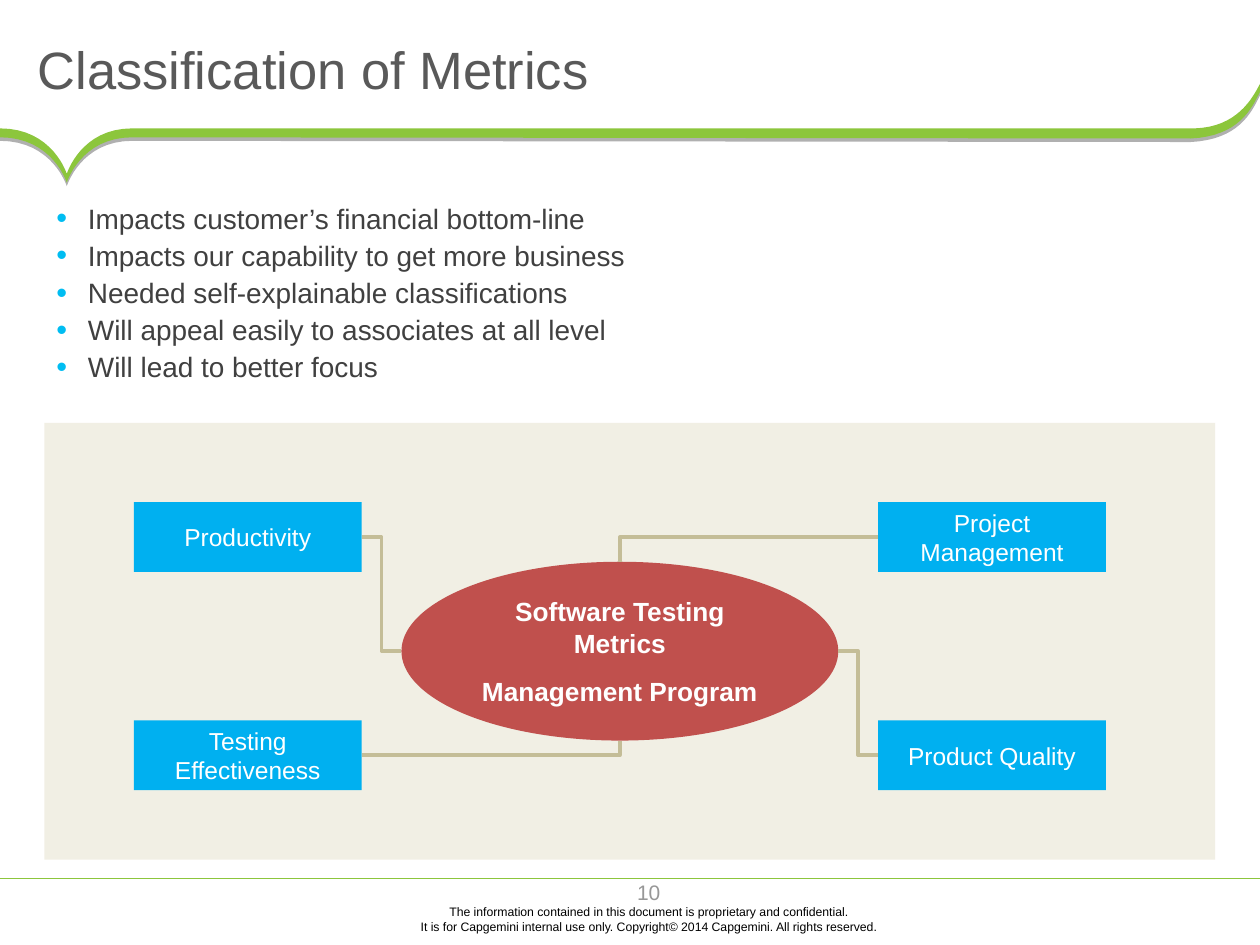
from lxml.etree import SubElement
from pptx import Presentation
from pptx.dml.color import RGBColor
from pptx.enum.shapes import MSO_CONNECTOR as Connector, MSO_SHAPE as Shape
from pptx.enum.text import MSO_ANCHOR as Anchor, PP_ALIGN as Align
from pptx.oxml.ns import qn
from pptx.util import Pt

GREEN = RGBColor(0x8C, 0xC6, 0x3C)
SAND = RGBColor(0xDE, 0xD7, 0xBC)
TAN = RGBColor(0xC4, 0xBD, 0x97)
BLUE = RGBColor(0x00, 0xB0, 0xF0)
RED = RGBColor(0xC0, 0x50, 0x4D)
WHITE = RGBColor(0xFF, 0xFF, 0xFF)
BLACK = RGBColor(0, 0, 0)
TITLE_GREY = RGBColor(0x59, 0x59, 0x59)
BODY_GREY = RGBColor(0x40, 0x40, 0x40)
NUMBER_GREY = RGBColor(0x97, 0x97, 0x97)
BULLET_COLOR = "00BDF2"

# Content
TITLE = "Classification of Metrics"
BULLETS = [
    "Impacts customer’s financial bottom-line",
    "Impacts our capability to get more business",
    "Needed self-explainable classifications",
    "Will appeal easily to associates at all level",
    "Will lead to better focus",
]
PROGRAM = ["Software Testing Metrics", "Management Program"]
# label, column, row, side of the box, side of the ellipse, connector form
CATEGORIES = [
    ("Productivity", 0, 0, "right", "left", "bentConnector3"),
    ("Project Management", 1, 0, "left", "top", "bentConnector2"),
    ("Testing Effectiveness", 0, 1, "right", "bottom", "bentConnector2"),
    ("Product Quality", 1, 1, "left", "right", "bentConnector3"),
]
FOOTER = ("The information contained in this document is proprietary and confidential.\v"
          "It is for Capgemini internal use only. Copyright© 2014 Capgemini. All rights reserved.")
PAGE_NUMBER = "10"

# Layout
WIDTH, HEIGHT = 720, 540
COLUMNS, ROWS = (76.5, 501.8), (287, 411.7)
BOX_WIDTH, BOX_HEIGHT = 130.2, 39.8
ELLIPSE = (229.4, 321, 249.6, 102.2)
BOX_SITES = {"left": 1, "right": 3}
# Two numbers are a line to a point, six are a Bézier curve
SWOOSH_START = (682.6, 73.4)
SWOOSH = [
    (75.6, 73.4),
    (46.1, 73.4, 38.2, 99.4, 38.2, 99.4),
    (38.2, 99.4, 30.2, 73.4, 0, 73.4),
    (0, 78.5),
    (30.2, 78.5, 38.2, 104.4, 38.2, 104.4),
    (38.2, 104.4, 46.1, 78.5, 75.6, 78.5),
    (680.4, 79.2),
    (707.8, 77.8, 715, 62.6, 720, 52.6),
    (720, 48),
    (715.7, 56.2, 707, 72.7, 682.6, 73.4),
]
CURVE_STEPS = 16


def add(parent, tag, **attributes):
    return SubElement(parent, qn(tag), attributes)


def outline(start, segments):
    points = [start]
    for segment in segments:
        if len(segment) == 2:
            points.append(segment)
            continue
        corners = [points[-1], segment[:2], segment[2:4], segment[4:]]
        for step in range(1, CURVE_STEPS + 1):
            t = step / CURVE_STEPS
            weights = ((1 - t) ** 3, 3 * t * (1 - t) ** 2, 3 * t * t * (1 - t), t ** 3)
            points.append(tuple(sum(w * c[axis] for w, c in zip(weights, corners))
                                for axis in (0, 1)))
    return [(Pt(x), Pt(y)) for x, y in points]


def write(shape, lines, size, color, align=Align.LEFT, anchor=Anchor.MIDDLE,
          bold=False, inset=True):
    frame = shape.text_frame
    frame.text = "\n".join(lines)
    frame.word_wrap = True
    frame.vertical_anchor = anchor
    if not inset:
        frame.margin_left = frame.margin_right = frame.margin_top = frame.margin_bottom = 0
    for paragraph in frame.paragraphs:
        paragraph.alignment = align
        for run in paragraph.runs:
            font = run.font
            font.name, font.size, font.bold = "Arial", Pt(size), bold
            font.color.rgb = color
    return frame


def add_text(slide, box, *args, **options):
    shape = slide.shapes.add_textbox(*map(Pt, box))
    write(shape, *args, **options)
    return shape


def add_filled(slide, kind, box, color):
    shape = slide.shapes.add_shape(kind, *map(Pt, box))
    shape.shadow.inherit = False
    shape.fill.solid()
    shape.fill.fore_color.rgb = color
    shape.line.fill.background()
    return shape


def add_line(slide, kind, start, end, color, width):
    line = slide.shapes.add_connector(kind, *map(Pt, start + end))
    line.line.color.rgb = color
    line.line.width = Pt(width)
    add(line._element.spPr, "a:effectLst")
    return line


def sides(box):
    left, top, width, height = box
    return {
        "top": (left + width / 2, top),
        "left": (left, top + height / 2),
        "bottom": (left + width / 2, top + height),
        "right": (left + width, top + height / 2),
    }


def add_swoosh(slide):
    points = outline(SWOOSH_START, SWOOSH)
    builder = slide.shapes.build_freeform(*points[0], scale=1.0)
    builder.add_line_segments(points[1:], close=True)
    shape = builder.convert_to_shape()
    shape.fill.solid()
    shape.fill.fore_color.rgb = GREEN
    shape.line.fill.background()
    effects = add(shape._element.spPr, "a:effectLst")
    shadow = add(effects, "a:outerShdw", blurRad="0", dist=str(Pt(2)),
                 dir="5400000", algn="t", rotWithShape="0")
    add(add(shadow, "a:srgbClr", val="000000"), "a:alpha", val="31000")


def add_bullets(slide):
    shape = add_text(slide, (25.2, 111.6, 360, 118.8), BULLETS, 16, BODY_GREY,
                     anchor=Anchor.TOP)
    for paragraph in shape.text_frame.paragraphs:
        properties = paragraph._p.get_or_add_pPr()
        properties.set("marL", str(Pt(18)))
        properties.set("indent", str(-Pt(18)))
        add(add(properties, "a:buClr"), "a:srgbClr", val=BULLET_COLOR)
        add(properties, "a:buSzPct", val="110000")
        add(properties, "a:buFont", typeface="Arial")
        add(properties, "a:buChar", char="•")
        paragraph.space_after = Pt(2)


def add_diagram(slide):
    # Translucent panel
    panel = add_filled(slide, Shape.RECTANGLE, (25.4, 241.7, 669, 249.6), SAND)
    color = panel._element.spPr.find(qn("a:solidFill")).find(qn("a:srgbClr"))
    add(color, "a:alpha", val="40000")

    # Central program
    ellipse = add_filled(slide, Shape.OVAL, ELLIPSE, RED)
    frame = write(ellipse, PROGRAM, 15, WHITE, Align.CENTER, bold=True)
    frame.paragraphs[1].space_before = Pt(9.4)

    # Categories, each joined to the program
    for label, column, row, box_side, ellipse_side, form in CATEGORIES:
        box = (COLUMNS[column], ROWS[row], BOX_WIDTH, BOX_HEIGHT)
        category = add_filled(slide, Shape.RECTANGLE, box, BLUE)
        write(category, [label], 14, WHITE, Align.CENTER)
        link = add_line(slide, Connector.ELBOW, sides(box)[box_side],
                        sides(ELLIPSE)[ellipse_side], TAN, 2)
        link.begin_connect(category, BOX_SITES[box_side])
        link._element.spPr.find(qn("a:prstGeom")).set("prst", form)


def main():
    presentation = Presentation()
    presentation.slide_width, presentation.slide_height = Pt(WIDTH), Pt(HEIGHT)
    slide = presentation.slides.add_slide(presentation.slide_layouts[6])

    # Frame of the slide
    add_swoosh(slide)
    add_line(slide, Connector.STRAIGHT, (0, 501.8), (WIDTH, 501.8), GREEN, 0.5)
    add_text(slide, (185, 515.5, 371.5, 19.4), [FOOTER], 7, BLACK, Align.CENTER, inset=False)
    add_text(slide, (343.4, 502.6, 54.7, 14.4), [PAGE_NUMBER], 12, NUMBER_GREY,
             Align.CENTER, inset=False)

    # Title, bullets and diagram
    title = add_filled(slide, Shape.RECTANGLE, (14.4, 10.8, 669.6, 56.2), WHITE)
    write(title, [TITLE], 30, TITLE_GREY)
    add_bullets(slide)
    add_diagram(slide)
    presentation.save("out.pptx")


if __name__ == "__main__":
    main()
